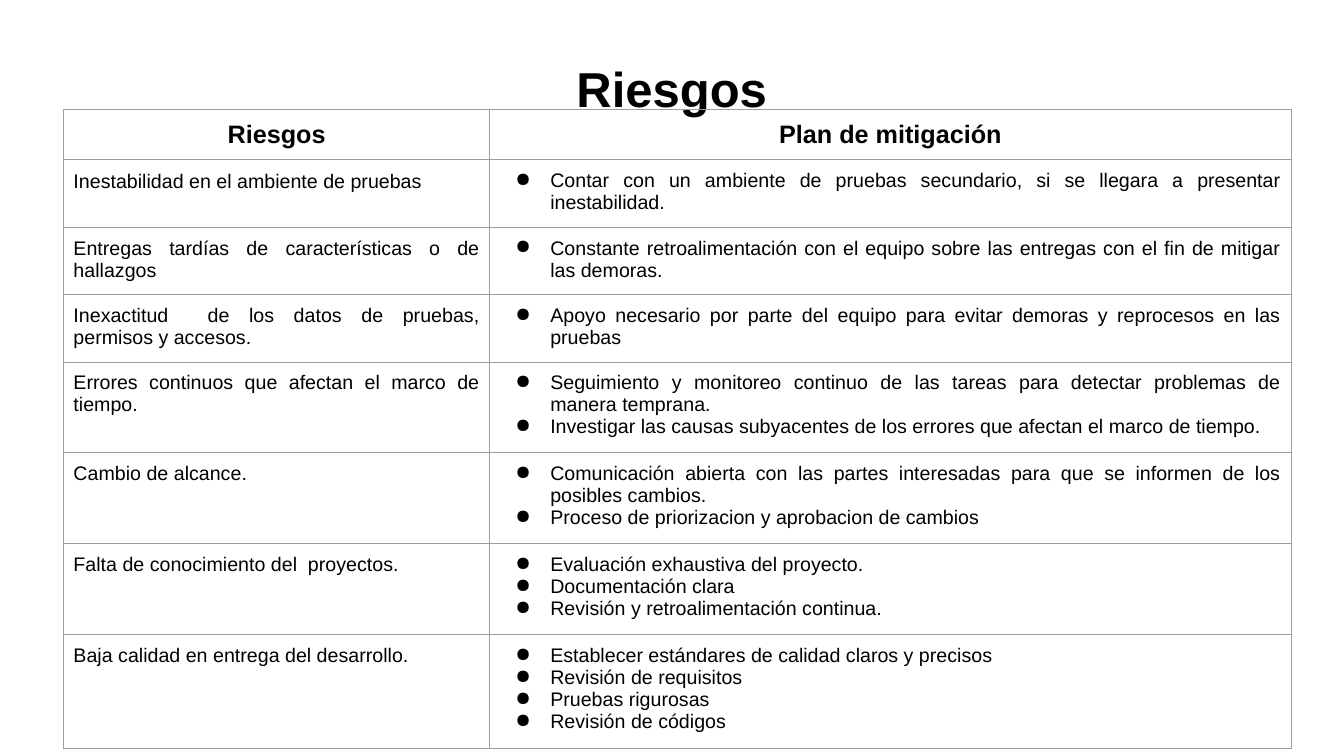
from lxml import etree
from pptx import Presentation
from pptx.dml.color import RGBColor
from pptx.enum.text import MSO_ANCHOR, PP_ALIGN
from pptx.oxml.ns import qn
from pptx.util import Pt

CENTER, JUSTIFY = PP_ALIGN.CENTER, PP_ALIGN.JUSTIFY
TOP, MIDDLE = MSO_ANCHOR.TOP, MSO_ANCHOR.MIDDLE
FONT, INK, GRID = "Arial", "000000", "9E9E9E"
COLUMN_WIDTHS = (304.6, 572.4)
HEADER_HEIGHT = 35.7
ROW_BASE, LINE_HEIGHT = 15, 16.6
PADDING = 7.2

HEADERS = ("Riesgos", "Plan de mitigación")
RISKS = [
    ("Inestabilidad en el ambiente de pruebas", 2,
     ["Contar con un ambiente de pruebas secundario, si se llegara a presentar inestabilidad."]),
    ("Entregas tardías de características o de hallazgos", 2,
     ["Constante retroalimentación con el equipo sobre las entregas con el fin de mitigar las demoras."]),
    ("Inexactitud  de los datos de pruebas, permisos y accesos.", 2,
     ["Apoyo necesario por parte del equipo para evitar demoras y reprocesos en las pruebas"]),
    ("Errores continuos que afectan el marco de tiempo.", 3,
     ["Seguimiento y monitoreo continuo de las tareas para detectar problemas de manera temprana.",
      "Investigar las causas subyacentes de los errores que afectan el marco de tiempo."]),
    ("Cambio de alcance.", 3,
     ["Comunicación abierta con las partes interesadas para que se informen de los posibles cambios.",
      "Proceso de priorizacion y aprobacion de cambios"]),
    ("Falta de conocimiento del  proyectos.", 3,
     ["Evaluación exhaustiva del proyecto.",
      "Documentación clara",
      "Revisión y retroalimentación continua."]),
    ("Baja calidad en entrega del desarrollo.", 4,
     ["Establecer estándares de calidad claros y precisos",
      "Revisión de requisitos",
      "Pruebas rigurosas",
      "Revisión de códigos"]),
]


def color(value):
    """Turn a hex string into a colour."""
    return RGBColor.from_string(value)


def add_bullet(para):
    """Give a paragraph a hanging round bullet."""
    props = para._p.get_or_add_pPr()
    props.set("marL", str(Pt(36)))
    props.set("indent", str(Pt(-25)))
    bullet_color = etree.SubElement(props, qn("a:buClr"))
    etree.SubElement(bullet_color, qn("a:srgbClr"), val=INK)
    etree.SubElement(props, qn("a:buChar"), char="●")


def write(frame, lines, size, align, bold=False, bullets=False):
    """Fill a text frame with one paragraph per line."""
    frame.text = "\n".join(lines)
    for para in frame.paragraphs:
        para.alignment = align
        if bullets:
            add_bullet(para)
        for span in para.runs:
            span.font.name = FONT
            span.font.size = Pt(size)
            span.font.bold = bold
            span.font.color.rgb = color(INK)


def style_cell(cell, anchor):
    """Set the borders, padding and empty fill of a cell."""
    props = cell._tc.get_or_add_tcPr()
    for side in ("lnL", "lnR", "lnT", "lnB"):
        line = etree.SubElement(props, qn(f"a:{side}"), w=str(Pt(0.75)))
        fill = etree.SubElement(line, qn("a:solidFill"))
        etree.SubElement(fill, qn("a:srgbClr"), val=GRID)
    cell.fill.background()
    cell.vertical_anchor = anchor
    cell.margin_left = cell.margin_right = Pt(PADDING)
    cell.margin_top = cell.margin_bottom = Pt(PADDING)


def add_title(page, left, top, width, height):
    """Place the centred slide title."""
    box = page.shapes.add_textbox(Pt(left), Pt(top), Pt(width), Pt(height))
    frame = box.text_frame
    frame.word_wrap = True
    frame.vertical_anchor = TOP
    frame.margin_top, frame.margin_bottom = Pt(14), Pt(0)
    write(frame, ["Riesgos"], 35, CENTER, bold=True)


def add_risk_table(page, left, top):
    """Place the table of risks and their mitigation plans."""
    heights = [HEADER_HEIGHT] + [ROW_BASE + LINE_HEIGHT * count for _, count, _ in RISKS]
    table = page.shapes.add_table(
        len(heights), len(COLUMN_WIDTHS), Pt(left), Pt(top),
        Pt(sum(COLUMN_WIDTHS)), Pt(sum(heights))).table
    table.first_row = table.horz_banding = False
    for column, width in zip(table.columns, COLUMN_WIDTHS):
        column.width = Pt(width)
    for row, height in zip(table.rows, heights):
        row.height = Pt(height)
    for index, header in enumerate(HEADERS):
        cell = table.cell(0, index)
        style_cell(cell, MIDDLE)
        write(cell.text_frame, [header], 18, CENTER, bold=True)
    for index, (risk, _, plans) in enumerate(RISKS, start=1):
        risk_cell, plan_cell = table.cell(index, 0), table.cell(index, 1)
        style_cell(risk_cell, TOP)
        style_cell(plan_cell, TOP)
        write(risk_cell.text_frame, [risk], 14, JUSTIFY)
        write(plan_cell.text_frame, plans, 14, JUSTIFY, bullets=True)
    table.cell(1, 0).text_frame.paragraphs[0].line_spacing = 1.06


def main():
    """Build and save the deck."""
    deck = Presentation()
    deck.slide_width, deck.slide_height = Pt(960), Pt(540)
    page = deck.slides.add_slide(deck.slide_layouts[6])
    add_title(page, 67, 28, 825.8, 49.7)
    add_risk_table(page, 45.3, 78)
    deck.save("out.pptx")


if __name__ == "__main__":
    main()
